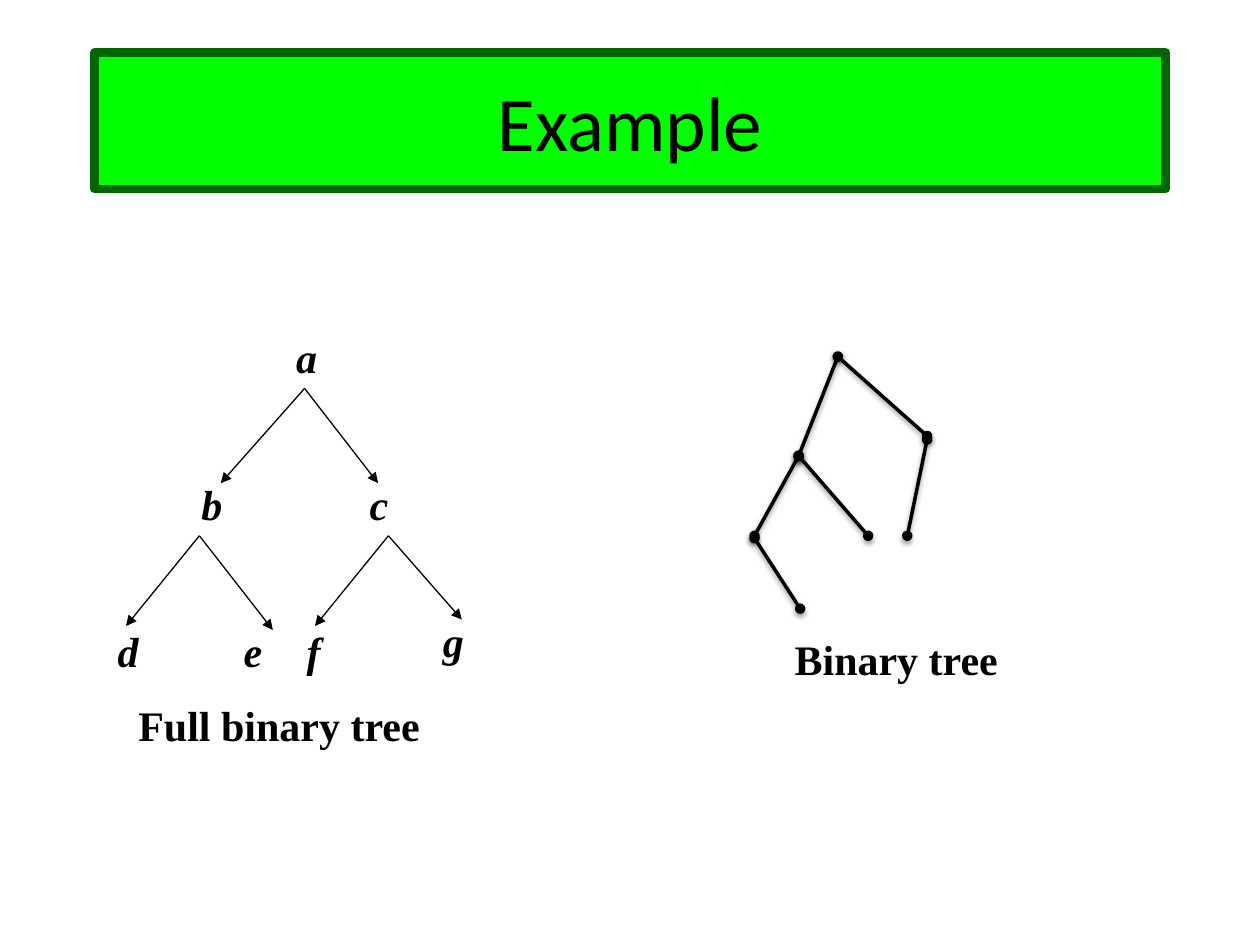
from typing import NamedTuple

from lxml import etree
from pptx import Presentation
from pptx import util as u
from pptx.dml.color import RGBColor
from pptx.enum import shapes, text
from pptx.oxml import ns

BLACK = RGBColor(0x00, 0x00, 0x00)
GREEN = RGBColor(0x00, 0xFF, 0x00)
DARK_GREEN = RGBColor(0x00, 0x66, 0x00)
SERIF = "Times New Roman"


class Point(NamedTuple):
    x: float
    y: float


class Edge(NamedTuple):
    start: Point
    end: Point


class Label(NamedTuple):
    words: str
    x: float
    y: float
    width: float = 1.27
    italic: bool = True


class EdgeStyle(NamedTuple):
    width: float
    ends: dict[str, str]
    shadow: bool


ARROW = EdgeStyle(0.75, {"tailEnd": "triangle"}, False)
DOTTED_ENDS = EdgeStyle(2, {"headEnd": "oval", "tailEnd": "oval"}, True)

# Full binary tree (cm)
A, B, C = Point(6.14, 7.83), Point(4.02, 10.8), Point(7.83, 10.8)
FULL_EDGES = [
    Edge(A, Point(4.45, 9.74)),
    Edge(A, Point(7.62, 9.74)),
    Edge(B, Point(2.54, 12.62)),
    Edge(B, Point(5.5, 12.7)),
    Edge(C, Point(6.35, 12.62)),
    Edge(C, Point(9.31, 12.49)),
]
LABELS = [
    Label("a", 5.72, 6.56),
    Label("b", 3.81, 9.53),
    Label("c", 7.2, 9.53),
    Label("d", 2.12, 12.49),
    Label("e", 4.66, 12.49),
    Label("f", 5.93, 12.49),
    Label("g", 8.68, 12.28),
    Label("Full binary tree", 2.54, 13.97, 6.35, False),
    Label("Binary tree", 15.77, 12.65, 6.35, False),
]

# Binary tree (cm)
ROOT, LEFT = Point(16.89, 7.19), Point(16.1, 9.19)
BINARY_EDGES = [
    Edge(Point(18.69, 8.86), Point(18.29, 10.8)),
    Edge(ROOT, LEFT),
    Edge(ROOT, Point(18.69, 8.79)),
    Edge(LEFT, Point(17.5, 10.8)),
    Edge(LEFT, Point(15.21, 10.8)),
    Edge(Point(15.21, 10.85), Point(16.13, 12.27)),
]


def add_title(s, words: str) -> None:
    sp = s.shapes.add_shape(shapes.MSO_SHAPE.RECTANGLE, u.Cm(1.91), u.Cm(1.06),
                            u.Cm(21.59), u.Cm(2.75))
    sp.shadow.inherit = False
    sp.fill.solid()
    sp.fill.fore_color.rgb = GREEN
    sp.line.color.rgb = DARK_GREEN
    sp.line.width = u.Pt(5)
    tf = sp.text_frame
    tf.text = words
    tf.vertical_anchor = text.MSO_ANCHOR.MIDDLE
    p = tf.paragraphs[0]
    p.alignment = text.PP_ALIGN.CENTER
    font = p.runs[0].font
    font.name, font.size = "Calibri", u.Pt(44)
    font.color.rgb = BLACK


def add_label(s, label: Label) -> None:
    sp = s.shapes.add_textbox(u.Cm(label.x), u.Cm(label.y), u.Cm(label.width), u.Cm(1.27))
    tf = sp.text_frame
    tf.word_wrap = True
    tf.auto_size = text.MSO_AUTO_SIZE.SHAPE_TO_FIT_TEXT
    tf.text = label.words
    font = tf.paragraphs[0].runs[0].font
    font.name, font.size = SERIF, u.Pt(24)
    font.bold, font.italic = True, label.italic
    font.color.rgb = BLACK


def add_edge(s, edge: Edge, style: EdgeStyle) -> None:
    line = s.shapes.add_connector(shapes.MSO_CONNECTOR.STRAIGHT,
                                  *(u.Cm(v) for point in edge for v in point))
    line.line.color.rgb = BLACK
    line.line.width = u.Pt(style.width)
    ln = line.line._get_or_add_ln()
    for end, kind in style.ends.items():
        etree.SubElement(ln, ns.qn(f"a:{end}"), type=kind)
    effects = etree.SubElement(line._element.spPr, ns.qn("a:effectLst"))
    if style.shadow:
        shadow = etree.SubElement(effects, ns.qn("a:outerShdw"), blurRad=str(u.Pt(3.1)),
                                  dist=str(u.Pt(1.6)), dir="5400000", rotWithShape="0")
        color = etree.SubElement(shadow, ns.qn("a:srgbClr"), val=str(BLACK))
        etree.SubElement(color, ns.qn("a:alpha"), val="38000")


def main() -> None:
    prs = Presentation()
    prs.slide_width, prs.slide_height = u.Cm(25.4), u.Cm(19.05)
    s = prs.slides.add_slide(prs.slide_layouts[6])

    add_title(s, "Example")
    for edge in FULL_EDGES:
        add_edge(s, edge, ARROW)
    for label in LABELS:
        add_label(s, label)
    for edge in BINARY_EDGES:
        add_edge(s, edge, DOTTED_ENDS)

    prs.save("out.pptx")


if __name__ == "__main__":
    main()
